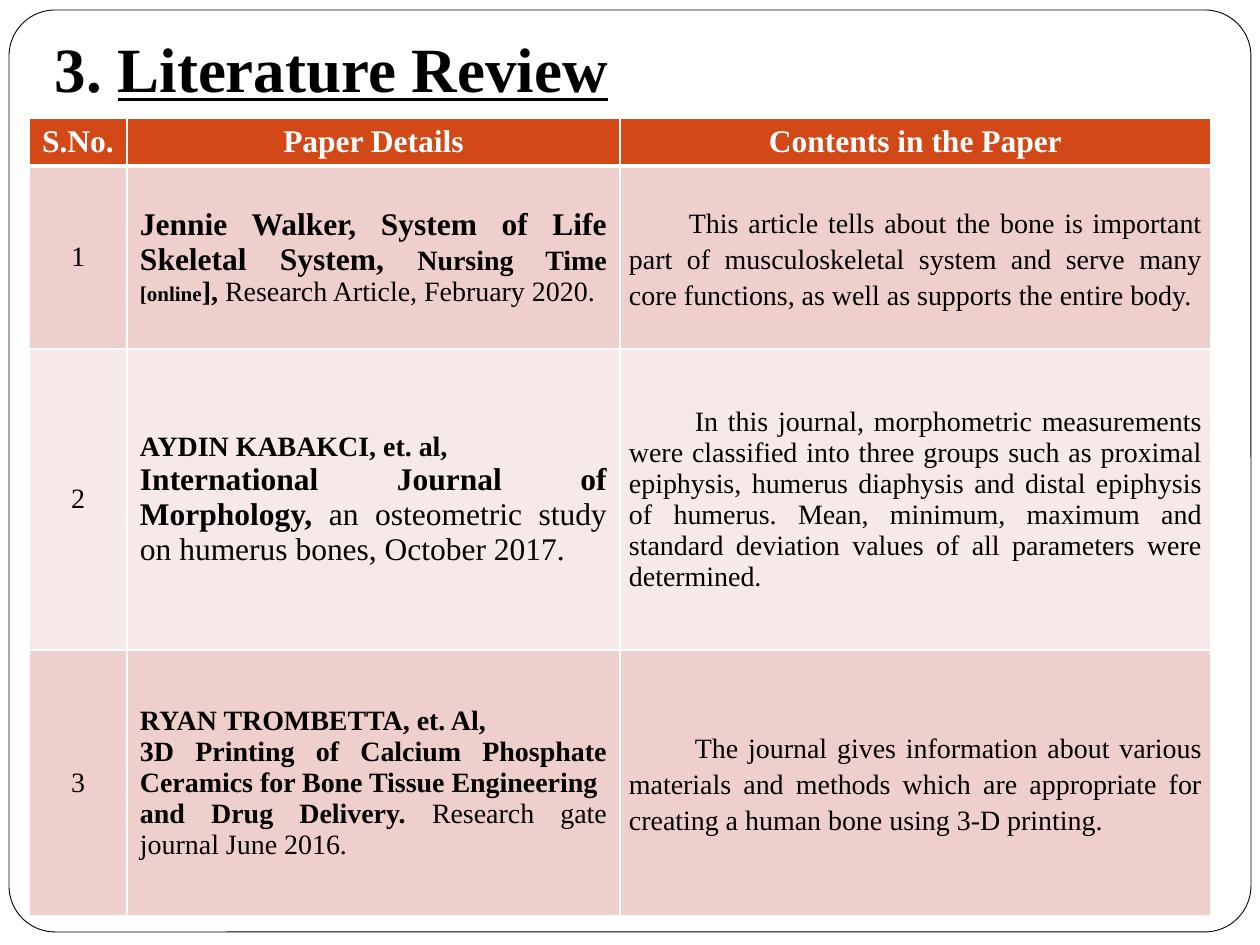
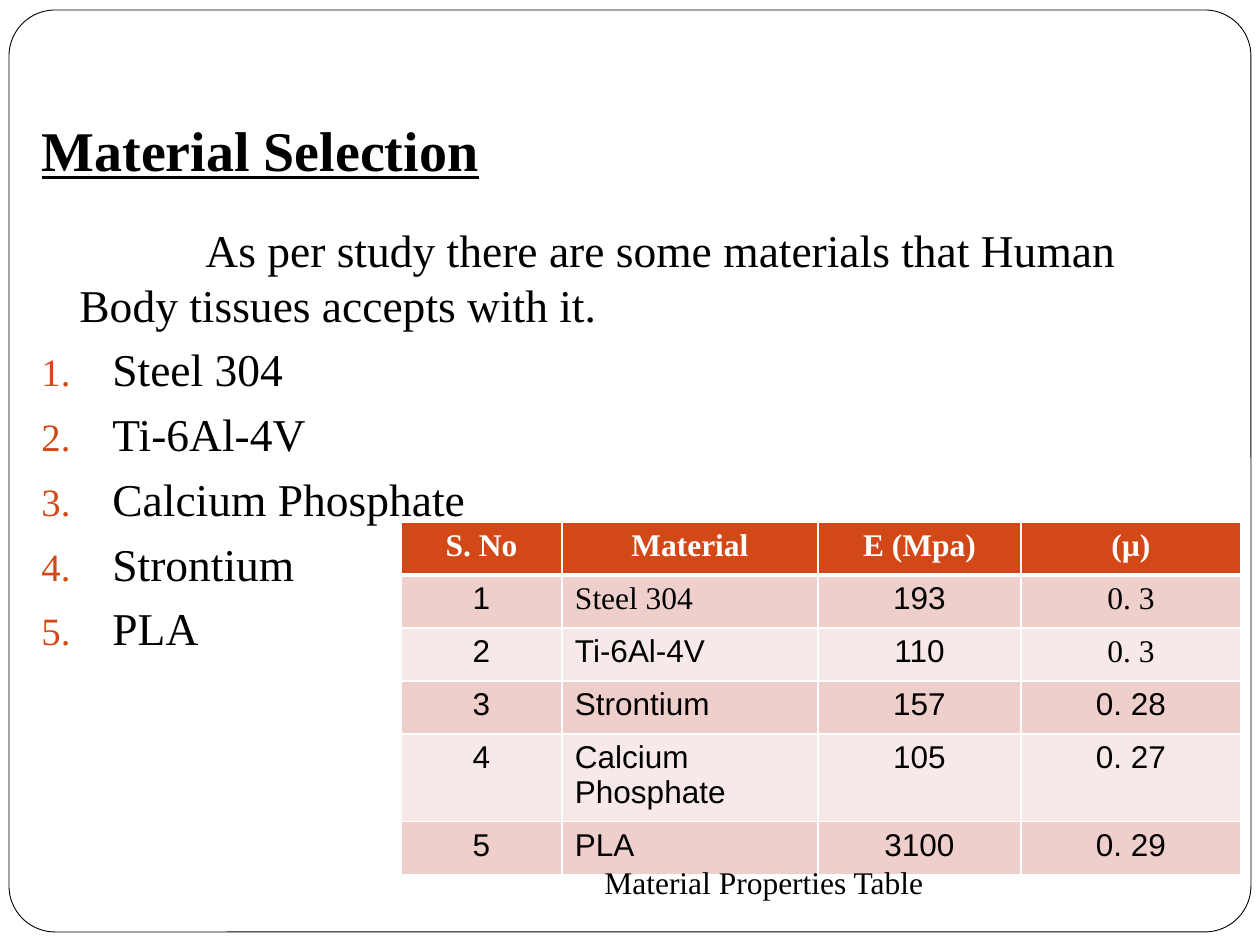
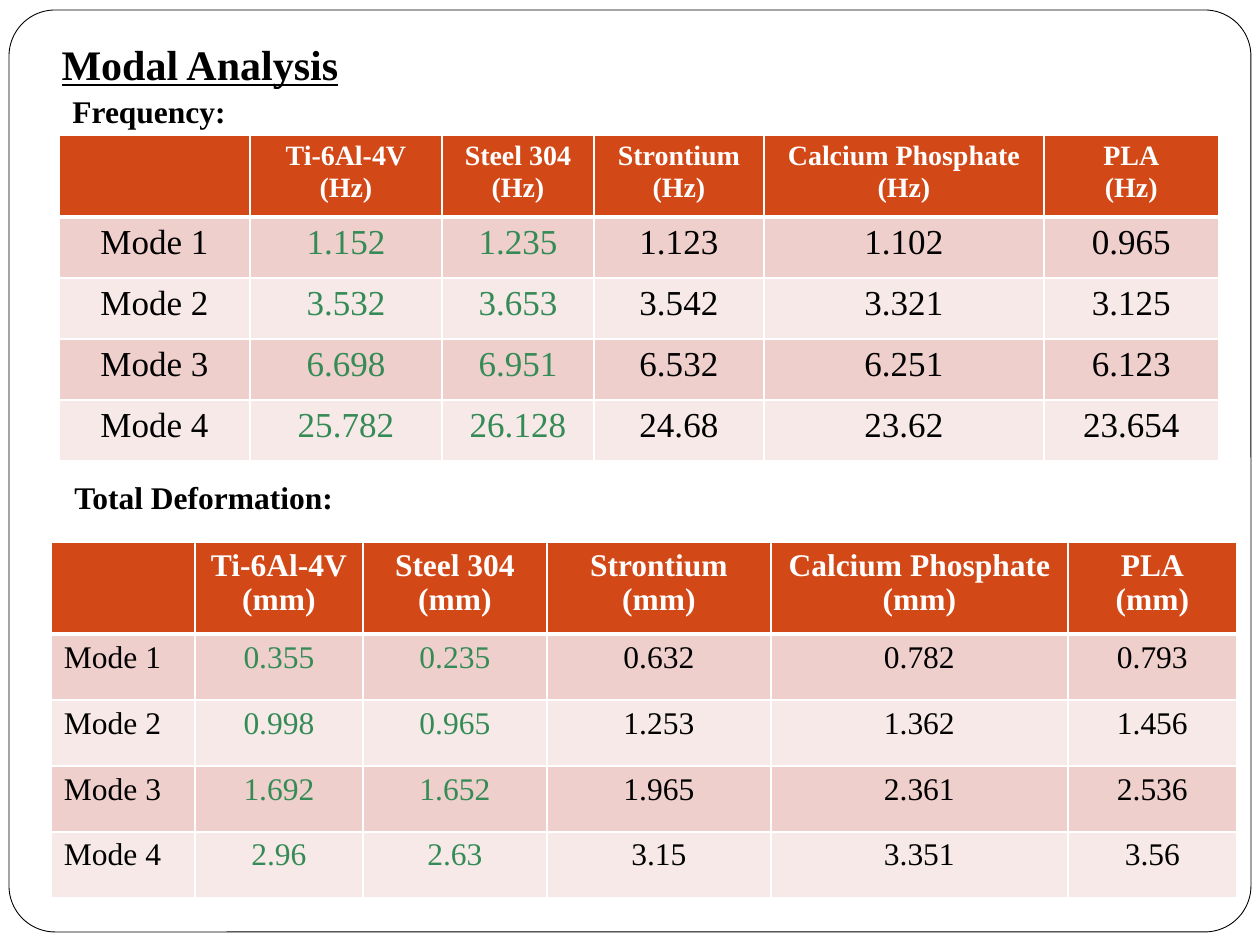
from dataclasses import dataclass
from typing import Optional

from lxml import etree
from pptx import Presentation
from pptx.dml.color import RGBColor
from pptx.enum.shapes import MSO_SHAPE as Preset
from pptx.enum.text import MSO_ANCHOR as Anchor, MSO_AUTO_SIZE as AutoSize, PP_ALIGN as Align
from pptx.oxml.ns import qn
from pptx.util import Pt

# Shared look
PX = 914400 / 126
SERIF, SANS = "Times New Roman", "Arial"
BLACK, WHITE, ORANGE, GREEN = "000000", "FFFFFF", "D34817", "358B56"
BANDS = ("EFCFCC", "F7E9E8")
CELL_MARGINS = (13, 6, 13, 6)
TIGHT_MARGINS = (9, 0, 9, 0)
TITLE_ONLY = 5


@dataclass(frozen=True)
class Span:
    text: str
    size: float = 18
    bold: bool = False
    underline: bool = False
    color: str = BLACK
    font: str = SERIF


@dataclass(frozen=True)
class Para:
    spans: tuple[Span, ...]
    align: Align = Align.LEFT
    left: int = 0
    first_line: int = 0
    before: float = 0
    spacing: Optional[float] = None
    numbered: bool = False


@dataclass(frozen=True)
class Area:
    left: int
    top: int
    width: int
    height: int


@dataclass(frozen=True)
class Cell:
    paras: tuple[Para, ...]
    margins: tuple[int, int, int, int] = CELL_MARGINS


@dataclass(frozen=True)
class Grid:
    left: int
    top: int
    columns: list[int]
    rows: list[int]
    cells: list[list[Cell]]
    anchor: Anchor = Anchor.TOP


def px(length: int) -> int:
    return round(length * PX)


def rgb(color: str) -> RGBColor:
    return RGBColor.from_string(color)


def line_of(text: str, align: Align = Align.LEFT, left: int = 0, first_line: int = 0,
            before: float = 0, spacing: Optional[float] = None,
            numbered: bool = False, **look) -> Para:
    """A paragraph with a single span."""
    return Para((Span(text, **look),), align, left, first_line, before, spacing, numbered)


def cell_of(text: str, align: Align = Align.CENTER, **look) -> Cell:
    """A cell with one paragraph for each line of text."""
    return Cell(tuple(line_of(line, align=align, **look) for line in text.split("\n")))


def header_of(text: str, size: float = 18, align: Align = Align.CENTER) -> Cell:
    return cell_of(text, align, size=size, bold=True, color=WHITE)


# Text
def add_number(properties) -> None:
    tint = etree.SubElement(properties, qn("a:buClr"))
    etree.SubElement(tint, qn("a:srgbClr"), val=ORANGE)
    etree.SubElement(properties, qn("a:buSzPct"), val="85000")
    etree.SubElement(properties, qn("a:buAutoNum"), type="arabicPeriod")


def write(frame, paras: tuple[Para, ...]) -> None:
    for index, item in enumerate(paras):
        para = frame.add_paragraph() if index else frame.paragraphs[0]
        properties = para._p.get_or_add_pPr()
        properties.set("marL", str(px(item.left)))
        properties.set("indent", str(px(item.first_line)))
        if item.numbered:
            add_number(properties)
        para.alignment = item.align
        para.space_before = Pt(item.before if index else 0)
        if item.spacing:
            para.line_spacing = item.spacing
        for part in item.spans:
            span = para.add_run()
            span.text = part.text
            span.font.name = part.font
            span.font.size = Pt(part.size)
            span.font.bold = part.bold
            span.font.underline = part.underline
            span.font.color.rgb = rgb(part.color)


def place(shape, area: Area) -> None:
    shape.left, shape.top = px(area.left), px(area.top)
    shape.width, shape.height = px(area.width), px(area.height)


def set_title(page, area: Area, *spans: Span, anchor: Anchor = Anchor.BOTTOM) -> None:
    title = page.shapes.title
    place(title, area)
    frame = title.text_frame
    frame.auto_size = AutoSize.NONE
    frame.word_wrap = True
    frame.vertical_anchor = anchor
    frame.margin_bottom = px(13)
    write(frame, (Para(spans),))


def add_text(page, area: Area, *paras: Para) -> None:
    box = page.shapes.add_textbox(0, 0, 0, 0)
    place(box, area)
    box.text_frame.word_wrap = True
    write(box.text_frame, paras)


# Tables
def set_borders(cell, row: int) -> None:
    properties = cell._tc.get_or_add_tcPr()
    widths = {"L": 1, "R": 1, "T": 3 if row == 1 else 1, "B": 3 if row == 0 else 1}
    for side, width in widths.items():
        border = etree.SubElement(properties, qn(f"a:ln{side}"), w=str(Pt(width)))
        fill = etree.SubElement(border, qn("a:solidFill"))
        etree.SubElement(fill, qn("a:srgbClr"), val=WHITE)


def add_grid(page, grid: Grid) -> None:
    table = page.shapes.add_table(
        len(grid.rows), len(grid.columns), px(grid.left), px(grid.top),
        px(sum(grid.columns)), px(sum(grid.rows))).table
    table.horz_banding = False
    for column, width in zip(table.columns, grid.columns):
        column.width = px(width)
    for row, height in zip(table.rows, grid.rows):
        row.height = px(height)
    for r, items in enumerate(grid.cells):
        for c, item in enumerate(items):
            cell = table.cell(r, c)
            set_borders(cell, r)
            cell.fill.solid()
            cell.fill.fore_color.rgb = rgb(BANDS[(r - 1) % 2] if r else ORANGE)
            cell.vertical_anchor = grid.anchor
            (cell.margin_left, cell.margin_top,
             cell.margin_right, cell.margin_bottom) = map(px, item.margins)
            write(cell.text_frame, item.paras)


# Rounded frame behind every page, kept on the layout
def add_frame(page) -> None:
    frame = page.shapes.add_shape(Preset.ROUNDED_RECTANGLE, 0, 0, 0, 0)
    place(frame, Area(9, 10, 1242, 922))
    frame.adjustments[0] = 0.05
    frame.shadow.inherit = False
    frame.fill.solid()
    frame.fill.fore_color.rgb = rgb(WHITE)
    frame.line.color.rgb = rgb(BLACK)
    frame.line.width = Pt(0.5)
    frame.element.nvSpPr.cNvPr.set("id", "20")
    page.slide_layout.shapes.element.insert(2, frame.element)


# Page 1: literature review
def contents_cell(text: str, first_line: int, spacing: Optional[float] = None) -> Cell:
    para = line_of(text, align=Align.JUSTIFY, first_line=first_line, spacing=spacing, size=16)
    return Cell((para,), TIGHT_MARGINS)


def build_review(page) -> None:
    set_title(page, Area(42, 0, 1155, 118),
              Span("3. ", 36, True), Span("Literature Review", 36, True, True))
    details = [
        (Para((Span("Jennie Walker, System of Life Skeletal System, ", 18, True),
               Span("Nursing Time ", 16, True), Span("[online", 12, True),
               Span("], ", 16, True), Span("Research Article, February 2020.", 16)),
              Align.JUSTIFY),),
        (line_of("AYDIN KABAKCI, et. al,", size=16, bold=True),
         Para((Span("International Journal of Morphology, ", bold=True),
               Span("an osteometric study on humerus bones, October 2017.")),
              Align.JUSTIFY)),
        (line_of("RYAN TROMBETTA, et. Al,", align=Align.JUSTIFY, size=16, bold=True),
         line_of("3D Printing of Calcium Phosphate Ceramics for Bone Tissue Engineering",
                 align=Align.JUSTIFY, size=16, bold=True),
         Para((Span("and Drug Delivery. ", 16, True),
               Span("Research gate journal June 2016.", 16)), Align.JUSTIFY)),
    ]
    contents = [
        contents_cell("This article tells about the bone is important part of "
                      "musculoskeletal system and serve many core functions, as well "
                      "as supports the entire body.", 60, 1.15),
        contents_cell("In this journal, morphometric measurements were classified into "
                      "three groups such as proximal epiphysis, humerus diaphysis and "
                      "distal epiphysis of humerus. Mean, minimum, maximum and standard "
                      "deviation values of all parameters were determined.", 66),
        contents_cell("The journal gives information about various materials and methods "
                      "which are appropriate for creating a human bone using 3-D "
                      "printing.", 66, 1.15),
    ]
    header = [header_of("S.No.", align=Align.LEFT), header_of("Paper Details"),
              header_of("Contents in the Paper")]
    body = [[cell_of(str(number), size=16), Cell(paper), content]
            for number, (paper, content) in enumerate(zip(details, contents), 1)]
    add_grid(page, Grid(29, 118, [98, 493, 591], [48, 183, 301, 266],
                        [header, *body], Anchor.MIDDLE))


# Page 2: material selection
def build_materials(page) -> None:
    set_title(page, Area(29, 38, 1201, 158), Span("Material Selection", 32, True, True))
    names = ["Steel 304", "Ti-6Al-4V", "Calcium Phosphate", "Strontium", "PLA"]
    intro = line_of("As per study there are some materials that Human Body tissues "
                    "accepts with it.", left=38, first_line=126, size=26)
    items = [line_of(name, left=71, first_line=-71, before=5.8, numbered=True, size=26)
             for name in names]
    add_text(page, Area(29, 216, 1201, 690), intro, *items)

    values = [
        ("Steel 304", "193", "0. 3"),
        ("Ti-6Al-4V", "110", "0. 3"),
        ("Strontium", "157", "0. 28"),
        ("Calcium Phosphate", "105", "0. 27"),
        ("PLA", "3100", "0. 29"),
    ]
    serif_texts = {"Steel 304", "0. 3"}
    header = [header_of(text) for text in ("S. No", "Material", "E (Mpa)", "(µ)")]
    body = [[cell_of(text, Align.LEFT if column == 1 else Align.CENTER,
                     font=SERIF if text in serif_texts else SANS)
             for column, text in enumerate((str(number), *row))]
            for number, row in enumerate(values, 1)]
    add_grid(page, Grid(401, 522, [161, 256, 203, 220], [53] * 6, [header, *body]))
    add_text(page, Area(542, 857, 444, 50),
             line_of("Material Properties Table", align=Align.CENTER))


# Page 3: modal analysis
def mode_cells(unit: str, values: list[tuple[str, ...]], header_size: float,
               size: float, label_align: Align) -> list[list[Cell]]:
    materials = ("Ti-6Al-4V", "Steel 304", "Strontium", "Calcium Phosphate", "PLA")
    header = [Cell((Para(()),))]
    header += [header_of(f"{name}\n({unit})", header_size) for name in materials]
    body = [[cell_of(f"Mode {mode}", label_align, size=size)]
            + [cell_of(value, size=size, color=GREEN if column < 2 else BLACK)
               for column, value in enumerate(row)]
            for mode, row in enumerate(values, 1)]
    return [header, *body]


def build_modal(page) -> None:
    set_title(page, Area(49, 32, 1172, 60), Span("Modal Analysis", 24, True, True),
              anchor=Anchor.TOP)
    frequency = [
        ("1.152", "1.235", "1.123", "1.102", "0.965"),
        ("3.532", "3.653", "3.542", "3.321", "3.125"),
        ("6.698", "6.951", "6.532", "6.251", "6.123"),
        ("25.782", "26.128", "24.68", "23.62", "23.654"),
    ]
    deformation = [
        ("0.355", "0.235", "0.632", "0.782", "0.793"),
        ("0.998", "0.965", "1.253", "1.362", "1.456"),
        ("1.692", "1.652", "1.965", "2.361", "2.536"),
        ("2.96", "2.63", "3.15", "3.351", "3.56"),
    ]
    add_grid(page, Grid(59, 135, [191, 192, 152, 170, 280, 175], [82] + [61] * 4,
                        mode_cells("Hz", frequency, 16, 20, Align.CENTER)))
    add_grid(page, Grid(51, 542, [144, 168, 184, 224, 297, 169], [92] + [66] * 4,
                        mode_cells("mm", deformation, 18, 18, Align.LEFT)))
    for text, left, top in (("Frequency:", 60, 86), ("Total Deformation:", 62, 472)):
        add_text(page, Area(left, top, 413, 50), line_of(text, bold=True))


def main() -> None:
    deck = Presentation()
    deck.slide_width, deck.slide_height = px(1260), px(945)
    layout = deck.slide_layouts[TITLE_ONLY]
    pages = [deck.slides.add_slide(layout) for _ in range(3)]
    add_frame(pages[0])
    for build, page in zip((build_review, build_materials, build_modal), pages):
        build(page)
    deck.save("out.pptx")


if __name__ == "__main__":
    main()
